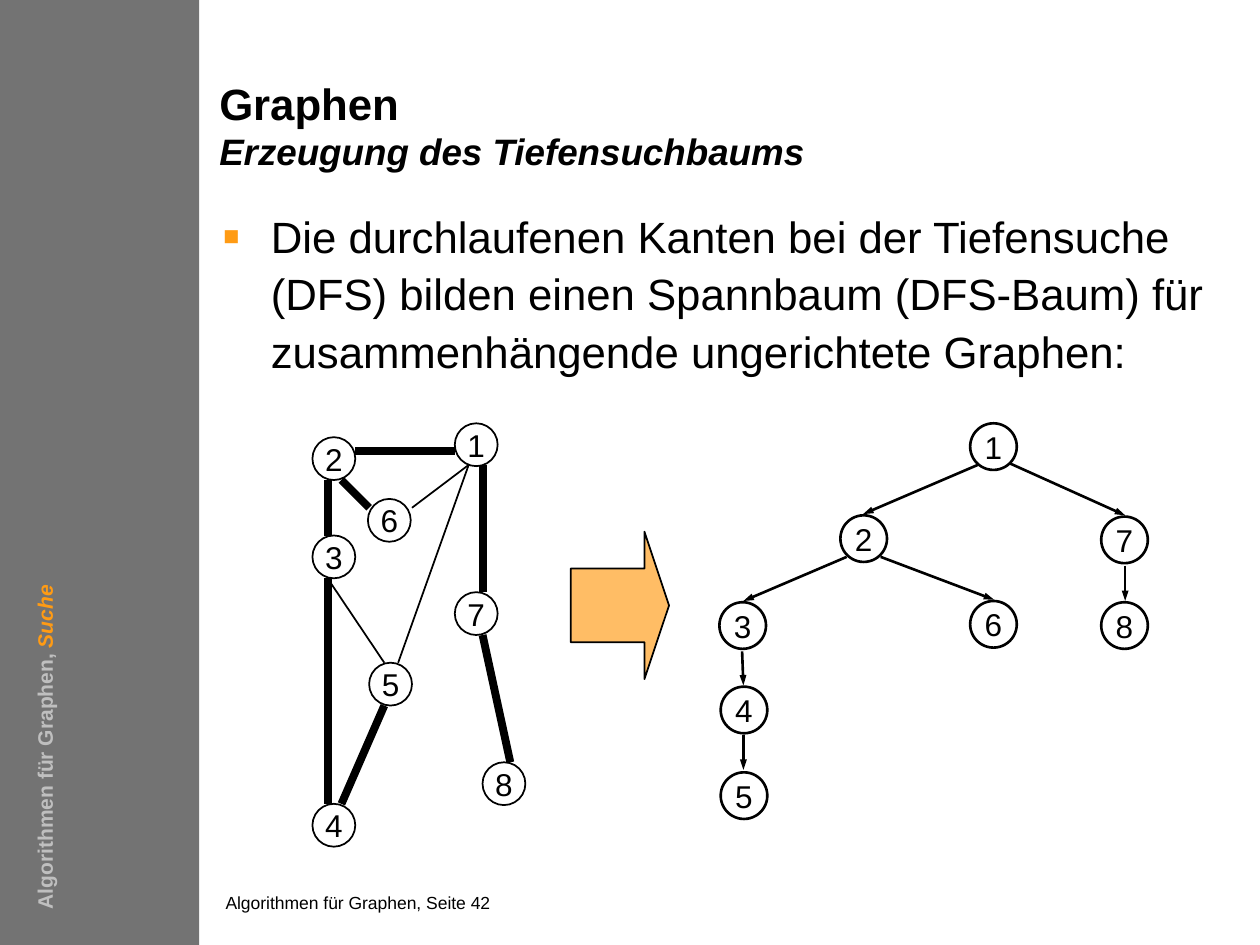
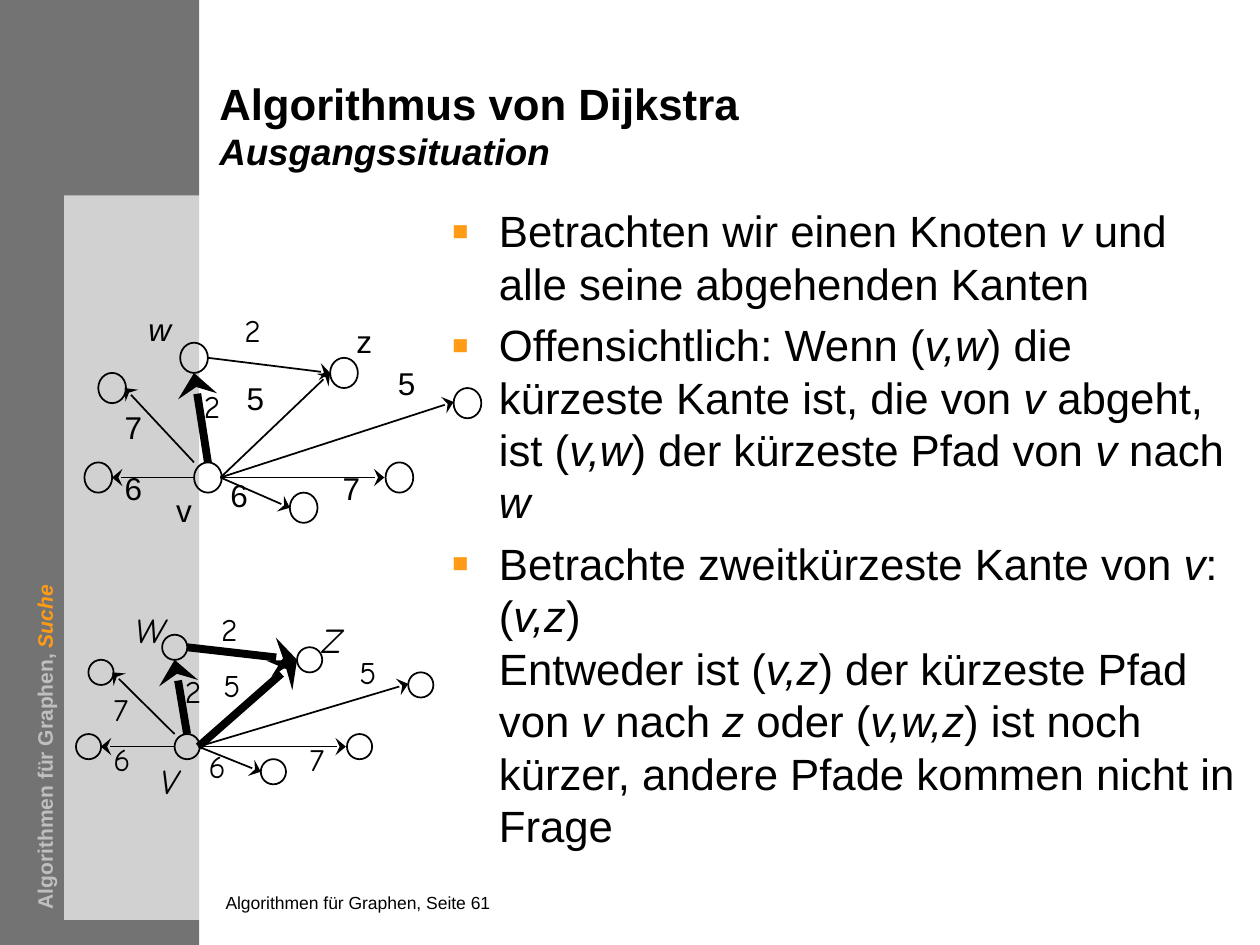
from dataclasses import dataclass
from typing import Any, NamedTuple

from lxml import etree
from pptx import Presentation
from pptx import util as u
from pptx.dml import color
from pptx.enum import shapes, text
from pptx.oxml import ns


@dataclass(frozen=True)
class Theme:
    ink: str = "000000"
    band: str = "737373"
    panel: str = "FFFFFF"
    accent: str = "FF9B14"
    arrow: str = "FFBD65"
    muted: str = "BFBFBF"
    font: str = "Arial"
    hand_font: str = "Comic Neue"
    title_size: float = 25
    subtitle_size: float = 21
    body_size: float = 25
    label_size: float = 18
    name_size: float = 20
    side_size: float = 12
    footer_size: float = 10
    thin: float = 1
    medium: float = 1.5
    thick: float = 4.5


THEME = Theme()


class Rect(NamedTuple):
    left: float
    top: float
    width: float
    height: float


class Node(NamedTuple):
    name: str
    left: float
    top: float


class Edge(NamedTuple):
    x1: float
    y1: float
    x2: float
    y2: float
    bold: bool = False


class Head(NamedTuple):
    kind: str
    width: str


class Label(NamedTuple):
    words: str
    left: float
    top: float
    hand: bool = False
    italic: bool = False


@dataclass(frozen=True)
class StarStyle:
    """Placement and lettering of one copy of the star graph."""
    scale_x: float
    scale_y: float
    shift_x: float
    shift_y: float
    bold_edges: frozenset[int]
    hand: bool

    def place(self, x: float, y: float) -> tuple[float, float]:
        return x * self.scale_x + self.shift_x, y * self.scale_y + self.shift_y


TREE_HEAD = Head("triangle", "sm")
STAR_HEAD = Head("stealth", "lg")

# Graph on the first slide: nodes and edges, search tree edges bold
GRAPH_NODES = [
    Node("1", 3.61, 3.36), Node("2", 2.48, 3.47), Node("3", 2.48, 4.25),
    Node("4", 2.48, 6.38), Node("5", 2.93, 5.26), Node("6", 2.92, 3.96),
    Node("7", 3.61, 4.7), Node("8", 3.83, 6.05),
]
GRAPH_EDGES = [
    Edge(3.61, 3.58, 2.82, 3.58, True), Edge(2.6, 3.81, 2.6, 4.25, True),
    Edge(2.6, 4.59, 2.6, 6.38, True), Edge(2.71, 6.38, 3.05, 5.6, True),
    Edge(3.83, 3.69, 3.83, 4.7, True), Edge(3.83, 5.04, 4.05, 6.05, True),
    Edge(2.71, 3.81, 2.93, 4.03, True), Edge(2.6, 4.59, 3.05, 5.26),
    Edge(3.16, 5.26, 3.72, 3.69), Edge(3.27, 4.03, 3.72, 3.69),
]
TREE_NODES = [
    Node("1", 7.7, 3.36), Node("2", 6.67, 4.09), Node("3", 5.71, 4.78),
    Node("4", 5.72, 5.45), Node("5", 5.72, 6.13), Node("6", 7.7, 4.77),
    Node("7", 8.74, 4.1), Node("8", 8.74, 4.78),
]
TREE_EDGES = [
    Edge(7.76, 3.69, 6.85, 4.08), Edge(8.02, 3.68, 8.93, 4.09),
    Edge(6.99, 4.42, 7.89, 4.76), Edge(6.72, 4.42, 5.9, 4.77),
    Edge(8.93, 4.49, 8.93, 4.77), Edge(5.89, 5.17, 5.9, 5.44),
    Edge(5.9, 5.83, 5.9, 6.11),
]

# Star graph on the second slide, drawn twice
STAR_NODES = [(0.67, 3.67), (1.54, 3.67), (0.78, 2.96), (2.62, 2.84),
              (3.06, 3.67), (2.3, 3.91), (3.6, 3.08), (1.43, 2.72)]
STAR_EDGES = [
    Edge(1.65, 3.67, 1.54, 2.96), Edge(1.75, 3.79, 2.62, 2.96),
    Edge(1.65, 2.84, 2.62, 2.96), Edge(1.54, 3.79, 0.89, 3.79),
    Edge(1.54, 3.67, 0.99, 3.08), Edge(1.75, 3.79, 2.3, 4.03),
    Edge(1.75, 3.79, 3.05, 3.79), Edge(1.75, 3.79, 3.6, 3.19),
]
STAR_LABELS = [
    Label("v", 1.3, 3.85), Label("w", 1.08, 2.41, italic=True), Label("z", 2.73, 2.51),
    Label("6", 1.73, 3.73), Label("2", 1.52, 3.02, hand=True), Label("7", 0.89, 3.19),
    Label("7", 2.62, 3.67), Label("6", 0.89, 3.67), Label("5", 3.06, 2.84),
    Label("5", 1.86, 2.96), Label("2", 1.84, 2.42, hand=True),
]
LABEL_WIDTHS = {"v": 0.33, "w": 0.38, "z": 0.33, "V": 0.38, "W": 0.49, "Z": 0.39}
STARS = [
    StarStyle(1, 1, 0, 0, frozenset({0}), hand=False),
    StarStyle(0.9, 0.83, 0, 2.78, frozenset({0, 1, 2}), hand=True),
]


# Text and line helpers
def rgb(value: str) -> color.RGBColor:
    return color.RGBColor.from_string(value)


def inches(*values: float) -> list[u.Length]:
    return [u.Inches(value) for value in values]


def apply(target: Any, values: dict[str, Any]) -> None:
    for name, value in values.items():
        setattr(target, name, value)


def add_span(para: Any, words: str, size: float, ink: str = THEME.ink,
             font: str = THEME.font, **style: bool) -> None:
    span = para.add_run()
    span.text = words
    apply(span.font, {"name": font, "size": u.Pt(size), **style})
    span.font.color.rgb = rgb(ink)


def set_frame(frame: Any, inset: bool = False, **values: Any) -> None:
    apply(frame, values)
    if not inset:
        apply(frame, {f"margin_{side}": 0 for side in ("left", "right", "top", "bottom")})


def add_box(page: Any, rect: Rect, inset: bool = False, wrap: bool = True) -> Any:
    box = page.shapes.add_textbox(*inches(*rect))
    set_frame(box.text_frame, inset, word_wrap=wrap)
    return box


def add_preset(page: Any, kind: Any, rect: Rect, fill: str | None = None,
               line: float | None = None) -> Any:
    shape = page.shapes.add_shape(kind, *inches(*rect))
    shape.shadow.inherit = False
    if fill:
        shape.fill.solid()
        shape.fill.fore_color.rgb = rgb(fill)
    else:
        shape.fill.background()
    if line:
        shape.line.width = u.Pt(line)
        shape.line.color.rgb = rgb(THEME.ink)
    else:
        shape.line.fill.background()
    return shape


def add_edge(page: Any, edge: Edge, weight: float, head: Head | None = None) -> None:
    link = page.shapes.add_connector(shapes.MSO_CONNECTOR.STRAIGHT, *inches(*edge[:4]))
    link.line.width = u.Pt(weight)
    link.line.color.rgb = rgb(THEME.ink)
    properties = link.element.spPr
    if head:
        etree.SubElement(properties.find(ns.qn("a:ln")), ns.qn("a:tailEnd"),
                         type=head.kind, w=head.width, len="med")
    etree.SubElement(properties, ns.qn("a:effectLst"))


def add_node(page: Any, node: Node, size: float, line: float) -> None:
    circle = add_preset(page, shapes.MSO_SHAPE.OVAL,
                        Rect(node.left, node.top, size, size), line=line)
    set_frame(circle.text_frame, word_wrap=False, vertical_anchor=text.MSO_ANCHOR.MIDDLE)
    para = circle.text_frame.paragraphs[0]
    para.alignment = text.PP_ALIGN.CENTER
    add_span(para, node.name, THEME.label_size)


# Parts shared by the slides
def add_page(deck: Any, title: str, subtitle: str, number: int) -> Any:
    page = deck.slides.add_slide(deck.slide_layouts[5])
    add_preset(page, shapes.MSO_SHAPE.RECTANGLE, Rect(0, 0, 1.58, 7.5), THEME.band)
    heading = page.shapes.title
    apply(heading, dict(zip(("left", "top", "width", "height"),
                            inches(1.74, 0.67, 5.1, 0.75))))
    set_frame(heading.text_frame, word_wrap=True, auto_size=text.MSO_AUTO_SIZE.NONE,
              vertical_anchor=text.MSO_ANCHOR.TOP)
    para = heading.text_frame.paragraphs[0]
    apply(para, {"alignment": text.PP_ALIGN.LEFT, "line_spacing": u.Pt(25.4)})
    add_span(para, title, THEME.title_size, bold=True)
    para.add_line_break()
    add_span(para, subtitle, THEME.subtitle_size, bold=True, italic=True)
    footer = add_box(page, Rect(1.79, 7.08, 4.86, 0.21))
    add_span(footer.text_frame.paragraphs[0],
             f"Algorithmen für Graphen, Seite {number}", THEME.footer_size)
    return page


def add_side_text(page: Any) -> None:
    box = add_box(page, Rect(-1.98, 4.83, 4.67, 0.3), inset=True)
    box.rotation = 270
    para = box.text_frame.paragraphs[0]
    add_span(para, "Algorithmen für Graphen, ", THEME.side_size, THEME.muted, bold=True)
    add_span(para, "Suche", THEME.side_size, THEME.accent, bold=True, italic=True)


def add_bullets(page: Any, rect: Rect, items: list[str], spacing: float) -> None:
    """Words between asterisks are italic."""
    frame = add_box(page, rect).text_frame
    for index, item in enumerate(items):
        para = frame.add_paragraph() if index else frame.paragraphs[0]
        apply(para, {"line_spacing": spacing, "space_before": u.Pt(5 if index else 0)})
        settings = para._p.get_or_add_pPr()
        settings.set("marL", str(u.Inches(0.38)))
        settings.set("indent", str(-u.Inches(0.38)))
        tint = etree.SubElement(settings, ns.qn("a:buClr"))
        etree.SubElement(tint, ns.qn("a:srgbClr"), val=THEME.accent)
        etree.SubElement(settings, ns.qn("a:buSzPct"), val="120000")
        etree.SubElement(settings, ns.qn("a:buFont"), typeface=THEME.font)
        etree.SubElement(settings, ns.qn("a:buChar"), char="▪")
        for part, words in enumerate(item.split("*")):
            for row, line in enumerate(words.split("\n")):
                if row:
                    para.add_line_break()
                if line:
                    add_span(para, line, THEME.body_size, italic=part % 2 == 1)


def add_star(page: Any, star: StarStyle) -> None:
    width, height = (0.2, 0.2) if star.hand else (0.22, 0.24)
    for left, top in STAR_NODES:
        add_preset(page, shapes.MSO_SHAPE.OVAL,
                   Rect(*star.place(left, top), width, height), line=THEME.thin)
    for index, edge in enumerate(STAR_EDGES):
        placed = Edge(*star.place(edge.x1, edge.y1), *star.place(edge.x2, edge.y2))
        weight = THEME.thick if index in star.bold_edges else THEME.thin
        add_edge(page, placed, weight, STAR_HEAD)
    for label in STAR_LABELS:
        named = star.hand and label.words.isalpha()
        words = label.words.upper() if named else label.words
        rect = Rect(*star.place(label.left, label.top), LABEL_WIDTHS.get(words, 0.35), 0.4)
        box = add_box(page, rect, inset=True, wrap=False)
        add_span(box.text_frame.paragraphs[0], words,
                 THEME.name_size if named else THEME.label_size,
                 font=THEME.hand_font if star.hand or label.hand else THEME.font,
                 italic=named or label.italic)


# Slides
def build_search_tree(deck: Any) -> None:
    page = add_page(deck, "Graphen", "Erzeugung des Tiefensuchbaums", 42)
    add_bullets(page, Rect(1.77, 1.62, 8.07, 1.5), [
        "Die durchlaufenen Kanten bei der Tiefensuche (DFS) bilden einen Spannbaum "
        "(DFS-Baum) für zusammenhängende ungerichtete Graphen:"], 1.1)
    for node in GRAPH_NODES:
        add_node(page, node, 0.34, THEME.thin)
    for edge in GRAPH_EDGES:
        add_edge(page, edge, THEME.thick if edge.bold else THEME.thin)
    for node in TREE_NODES:
        add_node(page, node, 0.37, THEME.medium)
    for edge in TREE_EDGES:
        add_edge(page, edge, THEME.medium, TREE_HEAD)
    arrow = add_preset(page, shapes.MSO_SHAPE.RIGHT_ARROW, Rect(4.53, 4.22, 0.78, 1.17),
                       THEME.arrow, THEME.thin)
    arrow.adjustments[0], arrow.adjustments[1] = 0.5, 0.25
    add_side_text(page)


def build_dijkstra(deck: Any) -> None:
    page = add_page(deck, "Algorithmus von Dijkstra", "Ausgangssituation", 61)
    panel = add_preset(page, shapes.MSO_SHAPE.RECTANGLE, Rect(0.51, 1.55, 1.18, 5.75),
                       THEME.panel)
    tint = panel.element.spPr.find(ns.qn("a:solidFill"))[0]
    etree.SubElement(tint, ns.qn("a:alpha"), val="68000")
    add_bullets(page, Rect(3.58, 1.62, 6.25, 5.36), [
        "Betrachten wir einen Knoten *v* und alle seine abgehenden Kanten",
        "Offensichtlich: Wenn (*v,w*) die kürzeste Kante ist, die von *v* abgeht, "
        "ist (*v,w*) der kürzeste Pfad von *v* nach *w*",
        "Betrachte zweitkürzeste Kante von *v*: (*v,z*)\nEntweder ist (*v,z*) der "
        "kürzeste Pfad von *v* nach *z* oder (*v,w,z*) ist noch kürzer, andere Pfade "
        "kommen nicht in Frage"], 1.0)
    for star in STARS:
        add_star(page, star)
    add_side_text(page)


def main() -> None:
    deck = Presentation()
    deck.slide_width, deck.slide_height = inches(10, 7.5)
    build_search_tree(deck)
    build_dijkstra(deck)
    deck.save("out.pptx")


if __name__ == "__main__":
    main()
